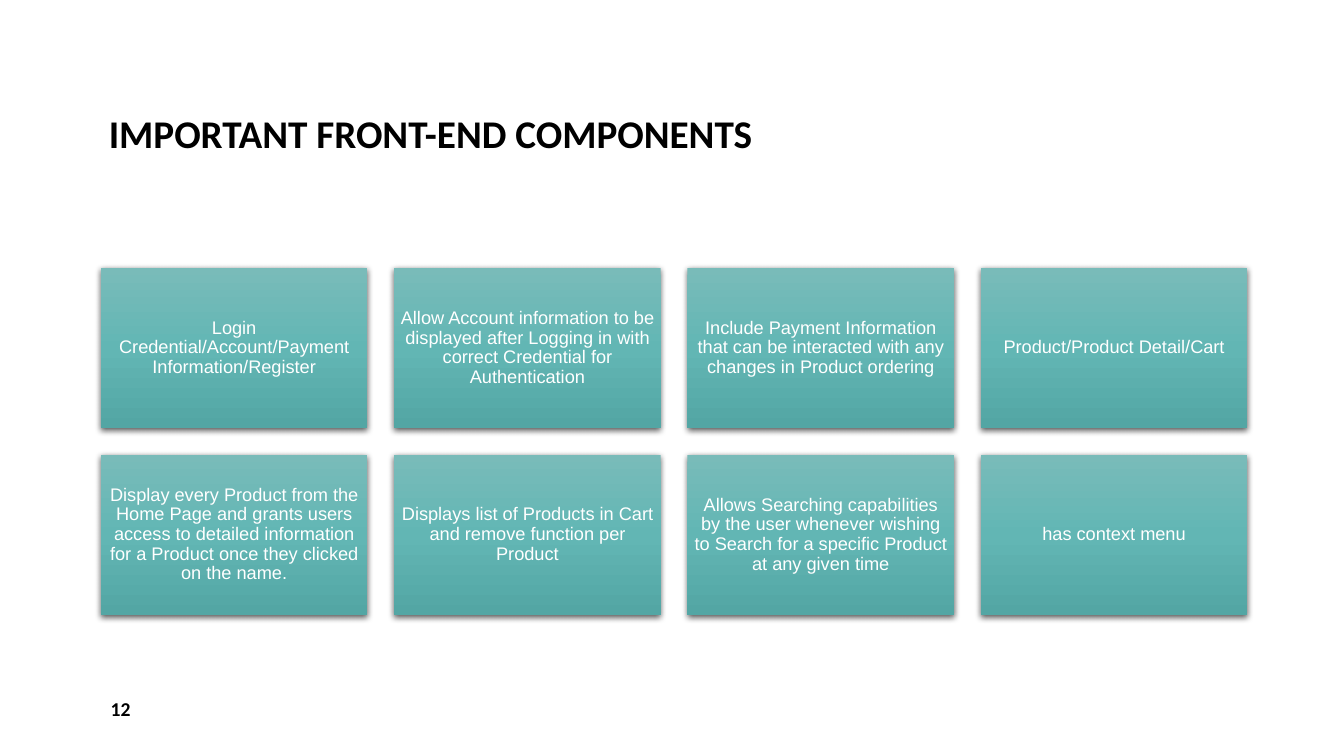
from copy import deepcopy

from lxml.etree import SubElement
from pptx import Presentation
from pptx.dml.color import RGBColor
from pptx.enum.shapes import MSO_SHAPE
from pptx.enum.text import MSO_ANCHOR, PP_ALIGN
from pptx.oxml.ns import qn
from pptx.util import Pt

COLUMNS = 4
CARD_LEFT, CARD_TOP = 72, 191.5
CARD_WIDTH, CARD_HEIGHT = 190.4, 114.3
COLUMN_STEP, ROW_STEP = 209.5, 133.3

COMPONENTS = [
    "Login Credential/Account/Payment Information/Register",
    "Allow Account information to be displayed after Logging in with correct Credential for Authentication",
    "Include Payment Information that can be interacted with any changes in Product ordering",
    "Product/Product Detail/Cart",
    "Display every Product from the Home Page and grants users access to detailed information "
    "for a Product once they clicked on the name.",
    "Displays list of Products in Cart and remove function per Product",
    "Allows Searching capabilities by the user whenever wishing to Search for a specific Product at any given time",
    "has context menu",
]


def color(value):
    return RGBColor.from_string(value)


class SlideBuilder:
    heading_font, body_font = "Calibri", "Arial"
    dark, light = "000000", "FFFFFF"
    card_gradient = [(0, "79BBB9"), (0.5, "62B6B4"), (1, "53A6A4")]

    def __init__(self, page):
        self.page = page

    def add_words(self, frame, text, size, font, ink, bold=False, anchor=MSO_ANCHOR.MIDDLE,
                  align=PP_ALIGN.LEFT, line_spacing=1.0):
        frame.word_wrap = True
        frame.vertical_anchor = anchor
        para = frame.paragraphs[0]
        para.alignment = align
        para.line_spacing = line_spacing
        span = para.add_run()
        span.text = text
        span.font.size = Pt(size)
        span.font.name = font
        span.font.bold = bold
        span.font.color.rgb = color(ink)

    def heading(self, text, left, top, width, height, size, **layout):
        box = self.page.shapes.add_textbox(Pt(left), Pt(top), Pt(width), Pt(height))
        self.add_words(box.text_frame, text, size, self.heading_font, self.dark, bold=True, **layout)

    def card(self, text, left, top, width, height):
        box = self.page.shapes.add_shape(MSO_SHAPE.RECTANGLE, Pt(left), Pt(top), Pt(width), Pt(height))
        box.line.fill.background()
        self.shade(box)
        self.cast_shadow(box)
        frame = box.text_frame
        frame.margin_left = frame.margin_right = frame.margin_top = frame.margin_bottom = Pt(3.6)
        self.add_words(frame, text, 13, self.body_font, self.light, align=PP_ALIGN.CENTER, line_spacing=0.9)

    def shade(self, box):
        box.fill.gradient()
        box.fill.gradient_angle = 270
        # A new gradient has two stops, so a third is added
        stop_list = box._element.spPr.find(qn("a:gradFill")).find(qn("a:gsLst"))
        stop_list.append(deepcopy(stop_list[0]))
        for stop, (position, tint) in zip(box.fill.gradient_stops, self.card_gradient):
            stop.position = position
            stop.color.rgb = color(tint)

    def cast_shadow(self, box):
        box.shadow.inherit = False
        effects = box._element.spPr.find(qn("a:effectLst"))
        shadow = SubElement(effects, qn("a:outerShdw"), blurRad=str(Pt(4.5)), dist=str(Pt(1.5)),
                            dir="5400000", algn="ctr", rotWithShape="0")
        tint = SubElement(shadow, qn("a:srgbClr"), val=self.dark)
        SubElement(tint, qn("a:alpha"), val="63000")


def main():
    deck = Presentation()
    deck.slide_width, deck.slide_height = Pt(960), Pt(540)
    builder = SlideBuilder(deck.slides.add_slide(deck.slide_layouts[6]))

    # Title and page number
    builder.heading("IMPORTANT FRONT-END COMPONENTS", 70.6, 5.8, 819.4, 110.2, 28,
                    anchor=MSO_ANCHOR.BOTTOM, line_spacing=0.9)
    builder.heading("12", 72, 491.8, 210, 28.8, 14)

    # Grid of component cards
    for index, text in enumerate(COMPONENTS):
        row, column = divmod(index, COLUMNS)
        builder.card(text, CARD_LEFT + column * COLUMN_STEP, CARD_TOP + row * ROW_STEP,
                     CARD_WIDTH, CARD_HEIGHT)

    deck.save("out.pptx")


if __name__ == "__main__":
    main()
